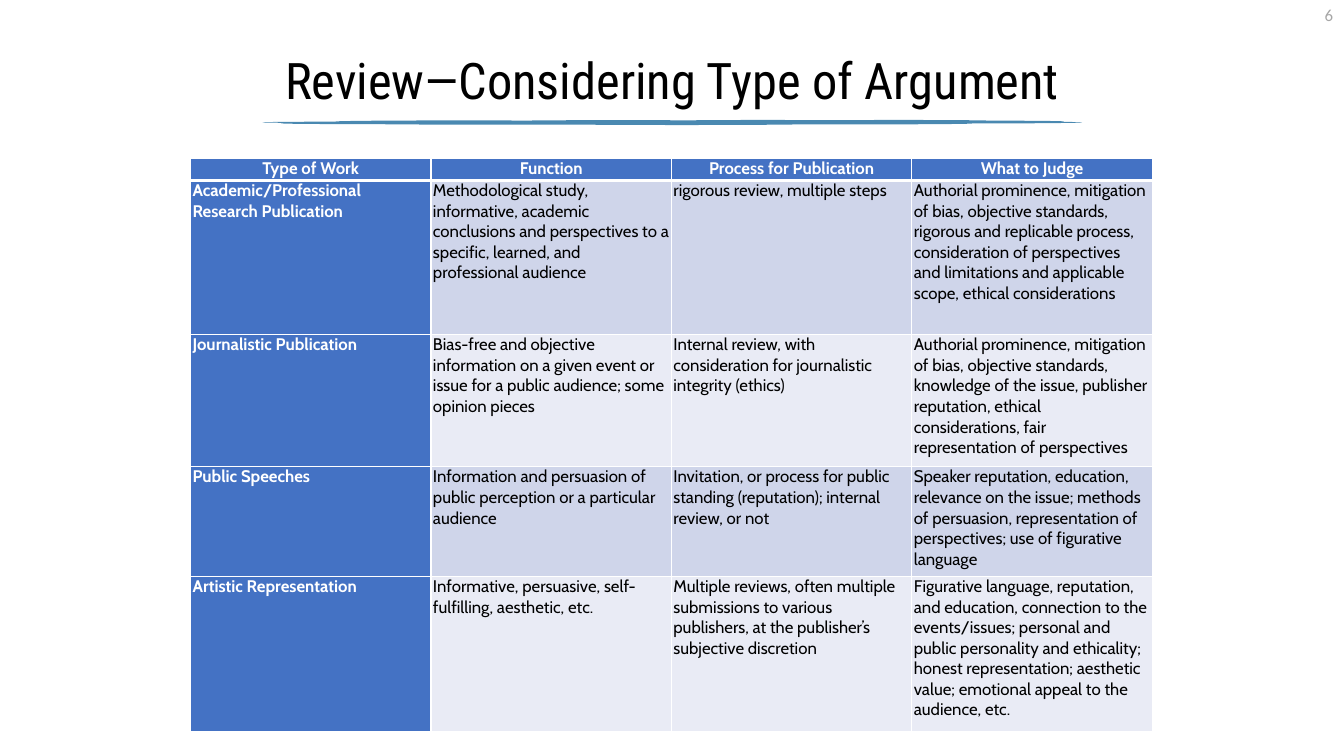
from dataclasses import dataclass
from typing import Any

from lxml.etree import SubElement
from pptx import Presentation
from pptx.dml.color import RGBColor
from pptx.enum.shapes import MSO_SHAPE as Preset
from pptx.enum.text import MSO_ANCHOR as Anchor, PP_ALIGN as Align
from pptx.oxml.ns import qn
from pptx.util import Inches, Pt

WHITE = RGBColor(0xFF, 0xFF, 0xFF)
BLACK = RGBColor(0x00, 0x00, 0x00)
GREY = RGBColor(0xA6, 0xA6, 0xA6)
STROKE_BLUE = RGBColor(0x4A, 0x89, 0xB1)
HEADER_BLUE = RGBColor(0x44, 0x72, 0xC4)
BANDS = (RGBColor(0xCF, 0xD5, 0xEA), RGBColor(0xE9, 0xEB, 0xF5))

HEADING_FONT = {"name": "Cabin", "size": Pt(12), "bold": True}
BODY_FONT = {"name": "Cabin", "size": Pt(12), "bold": False}
CELL_FORMAT = {
    "margin_left": Inches(0.02), "margin_right": Inches(0.02),
    "margin_top": 0, "margin_bottom": 0, "vertical_anchor": Anchor.TOP,
}


@dataclass(frozen=True)
class Label:
    text: str
    left: float
    top: float
    width: float
    height: float
    color: RGBColor
    font: dict[str, Any]
    align: Align
    anchor: Anchor = Anchor.TOP
    line_spacing: float = 1.0


@dataclass(frozen=True)
class WorkType:
    name: str
    function: str
    process: str
    judge: str
    height: float

    def texts(self) -> tuple[str, ...]:
        return self.name, self.function, self.process, self.judge


LABELS = (
    Label("6", 12.88, 0, 0.44, 0.4, GREY,
          {"name": "Calibri", "size": Pt(12)}, Align.RIGHT),
    Label("Review—Considering Type of Argument", 0.92, 0.4, 11.5, 0.85, BLACK,
          {"name": "Roboto Condensed", "size": Pt(36)}, Align.CENTER, Anchor.MIDDLE, 0.9),
)

ROWS = (
    WorkType("Type of Work", "Function", "Process for Publication", "What to Judge", 0.22),
    WorkType(
        "Academic/Professional Research Publication",
        "Methodological study, informative, academic conclusions and perspectives to "
        "a specific, learned, and professional audience",
        "rigorous review, multiple steps",
        "Authorial prominence, mitigation of bias, objective standards, rigorous and "
        "replicable process, consideration of perspectives and limitations and "
        "applicable scope, ethical considerations",
        1.53),
    WorkType(
        "Journalistic Publication",
        "Bias-free and objective information on a given event or issue for a public "
        "audience; some opinion pieces",
        "Internal review, with consideration for journalistic integrity (ethics)",
        "Authorial prominence, mitigation of bias, objective standards, knowledge of "
        "the issue, publisher reputation, ethical considerations, fair representation "
        "of perspectives",
        1.31),
    WorkType(
        "Public Speeches",
        "Information and persuasion of public perception or a particular audience",
        "Invitation, or process for public standing (reputation); internal review, or not",
        "Speaker reputation, education, relevance on the issue; methods of persuasion, "
        "representation of perspectives; use of figurative language",
        1.09),
    WorkType(
        "Artistic Representation",
        "Informative, persuasive, self-fulfilling, aesthetic, etc.",
        "Multiple reviews, often multiple submissions to various publishers, at the "
        "publisher’s subjective discretion",
        "Figurative language, reputation, and education, connection to the "
        "events/issues; personal and public personality and ethicality; honest "
        "representation; aesthetic value; emotional appeal to the audience, etc.",
        1.54),
)


def apply(target: Any, values: dict[str, Any]) -> None:
    for key, value in values.items():
        setattr(target, key, value)


def add_label(slide: Any, label: Label) -> None:
    box = slide.shapes.add_textbox(
        Inches(label.left), Inches(label.top), Inches(label.width), Inches(label.height))
    frame = box.text_frame
    apply(frame, {"word_wrap": True, "vertical_anchor": label.anchor})
    line = frame.paragraphs[0]
    apply(line, {"text": label.text, "alignment": label.align,
                 "line_spacing": label.line_spacing})
    font = line.runs[0].font
    apply(font, label.font)
    font.color.rgb = label.color


def set_borders(cell: Any, widths: dict[str, int]) -> None:
    """Draw white cell borders; widths are in points, in schema order."""
    properties = cell._tc.get_or_add_tcPr()
    for side, width in widths.items():
        border = SubElement(properties, qn(f"a:ln{side}"), w=str(Pt(width)))
        fill = SubElement(border, qn("a:solidFill"))
        SubElement(fill, qn("a:srgbClr"), val=str(WHITE))


def fill_cell(cell: Any, text: str, row: int, column: int) -> None:
    is_heading = row == 0 or column == 0
    apply(cell, CELL_FORMAT)
    set_borders(cell, {"L": 1, "R": 1, "T": 3 if row == 1 else 1, "B": 3 if row == 0 else 1})
    cell.fill.solid()
    cell.fill.fore_color.rgb = HEADER_BLUE if is_heading else BANDS[(row - 1) % 2]
    line = cell.text_frame.paragraphs[0]
    apply(line, {"text": text, "alignment": Align.CENTER if row == 0 else Align.LEFT})
    font = line.runs[0].font
    apply(font, HEADING_FONT if is_heading else BODY_FONT)
    font.color.rgb = WHITE if is_heading else BLACK


def add_work_types(slide: Any) -> None:
    columns = len(ROWS[0].texts())
    height = sum(row.height for row in ROWS)
    work_types = slide.shapes.add_table(
        len(ROWS), columns, Inches(1.89), Inches(1.57), Inches(9.54), Inches(height)).table
    work_types.first_col = True
    for r, work in enumerate(ROWS):
        work_types.rows[r].height = Inches(work.height)
        for c, text in enumerate(work.texts()):
            fill_cell(work_types.cell(r, c), text, r, c)


def main() -> None:
    deck = Presentation()
    apply(deck, {"slide_width": Inches(13.33), "slide_height": Inches(7.5)})
    slide = deck.slides.add_slide(deck.slide_layouts[6])

    # Brush stroke under the title
    stroke = slide.shapes.add_shape(
        Preset.CLOUD, Inches(2.61), Inches(1.19), Inches(8.12), Inches(0.05))
    stroke.shadow.inherit = False
    stroke.fill.solid()
    stroke.fill.fore_color.rgb = STROKE_BLUE
    stroke.line.fill.background()

    # Page number and title
    for label in LABELS:
        add_label(slide, label)

    # Comparison of work types
    add_work_types(slide)
    deck.save("out.pptx")


if __name__ == "__main__":
    main()
